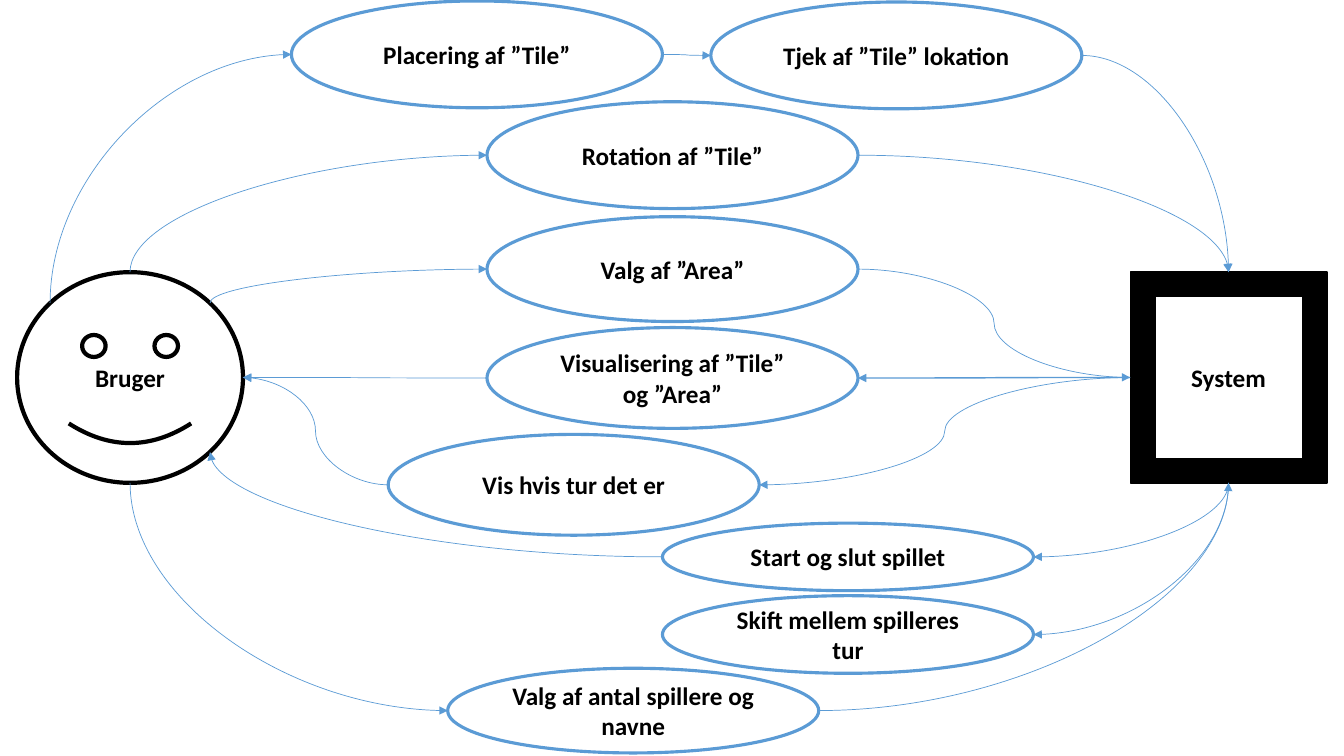
import pptx
import pptx.util
import pptx.dml.color
import pptx.enum.shapes
import pptx.enum.text
import pptx.oxml.ns
import lxml.etree

Inches = pptx.util.Inches
KINDS = pptx.enum.shapes.MSO_SHAPE
BLUE, BLACK = "5B9BD5", "000000"
FONT = {"name": "Calibri", "size": pptx.util.Pt(18), "bold": True}
FRAME = {"word_wrap": True, "vertical_anchor": pptx.enum.text.MSO_ANCHOR.MIDDLE}
SITES = {"top": (0.5, 0), "left": (0, 0.5), "base": (0.5, 1), "right": (1, 0.5),
         "top left": (0.146, 0.146), "top right": (0.854, 0.146),
         "base right": (0.854, 0.854)}
WIDE = 3.68
CASES = {
    "place": ("Placering af ”Tile”", 2.89, 0.01, 1.06),
    "turn": ("Rotation af ”Tile”", 4.83, 1.01, 1.06),
    "area": ("Valg af ”Area”", 4.83, 2.15, 1.04),
    "show": ("Visualisering af ”Tile” og ”Area”", 4.83, 3.25, 1),
    "check": ("Tjek af ”Tile” lokation", 7.05, 0.02, 1.06),
    "count": ("Valg af antal spillere og navne", 4.44, 6.63, 0.84),
    "switch": ("Skift mellem spilleres tur", 6.57, 5.91, 0.77),
    "whose": ("Vis hvis tur det er", 3.85, 4.31, 1),
    "start": ("Start og slut spillet", 6.57, 5.19, 0.67),
}
LINKS = [
    ("user", "top", "turn", "left"),
    ("user", "top left", "place", "left"),
    ("user", "top right", "area", "left"),
    ("turn", "right", "system", "top"),
    ("place", "right", "check", "left"),
    ("show", "left", "user", "right"),
    ("system", "left", "show", "right"),
    ("check", "right", "system", "top"),
    ("user", "base", "count", "left"),
    ("count", "right", "system", "base"),
    ("system", "base", "switch", "right"),
    ("system", "left", "whose", "right"),
    ("whose", "left", "user", "right"),
    ("area", "right", "system", "left"),
    ("system", "base", "start", "right"),
    ("start", "left", "user", "base right"),
]


def color(code):
    """Turn a hex string into a colour."""
    return pptx.dml.color.RGBColor.from_string(code)


def style(item, values):
    """Set each attribute of the item from a dict."""
    for name, value in values.items():
        setattr(item, name, value)


def node(slide, kind, text, box, line, width, fill=None):
    """Add a shape with a bold centred label."""
    shape = slide.shapes.add_shape(kind, *map(Inches, box))
    shape.shadow.inherit = False
    if fill:
        shape.fill.solid()
        shape.fill.fore_color.rgb = color(fill)
    else:
        shape.fill.background()
    shape.line.color.rgb = color(line)
    shape.line.width = pptx.util.Pt(width)
    style(shape.text_frame, FRAME)
    para = shape.text_frame.paragraphs[0]
    para.alignment = pptx.enum.text.PP_ALIGN.CENTER
    run = para.add_run()
    run.text = text
    style(run.font, FONT)
    run.font.color.rgb = color(BLACK)
    return shape


def point(shape, side):
    """Find the place of a named site on a shape."""
    across, down = SITES[side]
    return (int(shape.left + shape.width * across),
            int(shape.top + shape.height * down))


def link(slide, first, out, last, into, width):
    """Add a curved arrow that leaves and enters square to the sides."""
    (x1, y1), (x2, y2) = point(first, out), point(last, into)
    level = out in ("left", "right")
    if not level:
        mid_x, mid_y = (x1 + x2) // 2, (y1 + y2) // 2
        x1, y1 = mid_x + y1 - mid_y, mid_y - x1 + mid_x
        x2, y2 = mid_x + y2 - mid_y, mid_y - x2 + mid_x
    curve = slide.shapes.add_connector(
        pptx.enum.shapes.MSO_CONNECTOR.CURVE, x1, y1, x2, y2)
    curve.line.color.rgb = color(BLUE)
    curve.line.width = pptx.util.Pt(width)
    qn = pptx.oxml.ns.qn
    props = curve.element.find(qn("p:spPr"))
    if not level:
        props.find(qn("a:xfrm")).set("rot", "5400000")
    if not level or into not in ("left", "right"):
        props.find(qn("a:prstGeom")).set("prst", "curvedConnector2")
    lxml.etree.SubElement(props.find(qn("a:ln")), qn("a:tailEnd"), type="triangle")
    lxml.etree.SubElement(props, qn("a:effectLst"))


def main():
    """Build the use case diagram."""
    deck = pptx.Presentation()
    style(deck, {"slide_width": Inches(13.33), "slide_height": Inches(7.5)})
    slide = deck.slides.add_slide(deck.slide_layouts[6])
    nodes = {}
    for key, (text, left, top, high) in CASES.items():
        nodes[key] = node(slide, KINDS.OVAL, text, (left, top, WIDE, high), BLUE, 2.25)
    nodes["user"] = node(slide, KINDS.SMILEY_FACE, "Bruger",
                         (0.17, 2.7, 2.24, 2.09), BLACK, 3)
    nodes["system"] = node(slide, KINDS.FRAME, "System",
                           (11.21, 2.7, 1.95, 2.09), BLACK, 1, BLACK)
    for start, out, end, into in LINKS:
        width = 1 if (start, end) == ("system", "show") else 0.5
        link(slide, nodes[start], out, nodes[end], into, width)
    deck.save("out.pptx")


if __name__ == "__main__":
    main()
